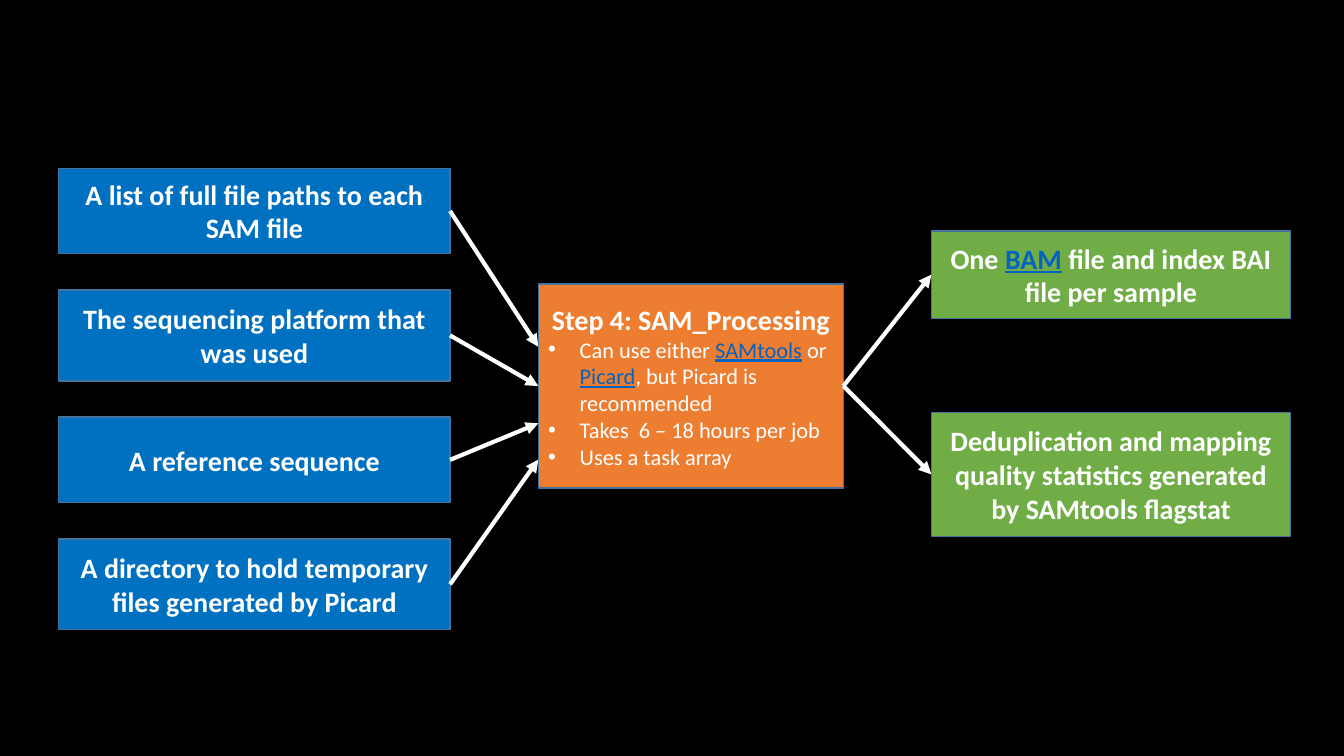
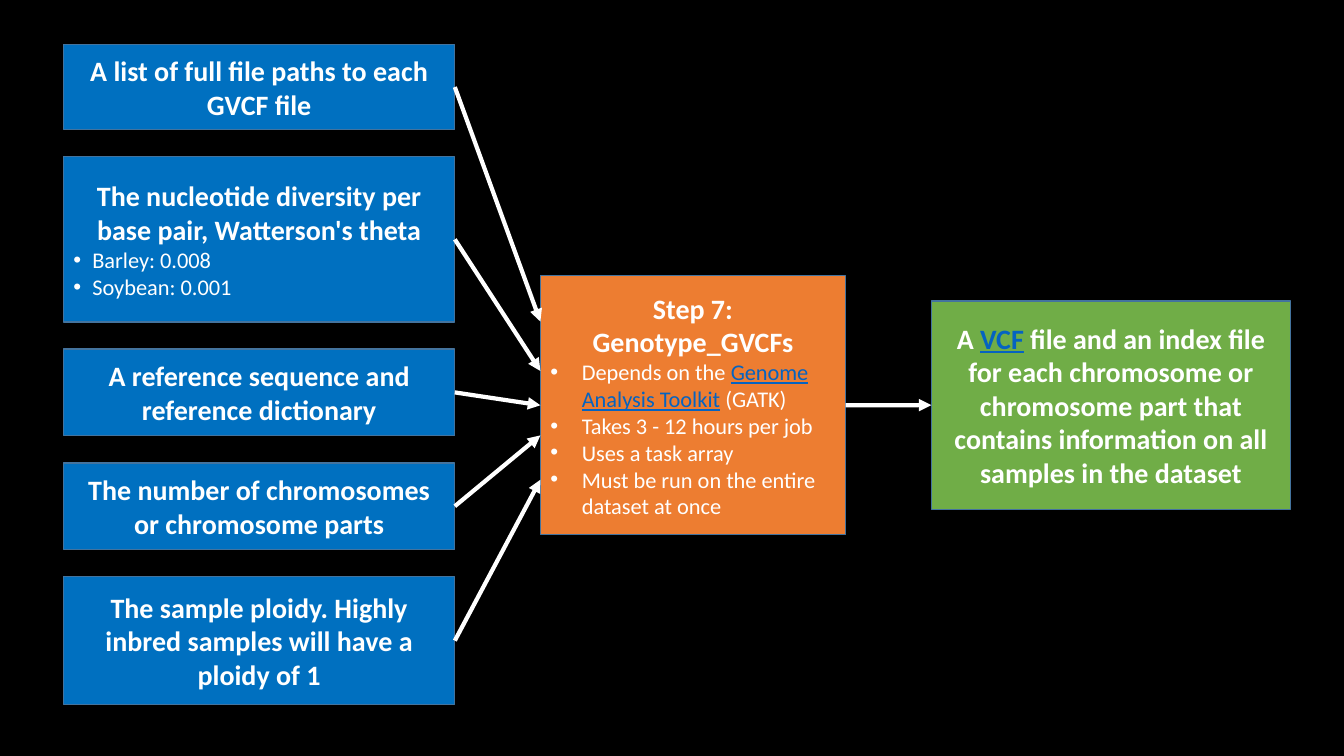
from dataclasses import dataclass
from typing import Optional

from lxml import etree
from pptx import Presentation
from pptx.dml.color import RGBColor
from pptx.enum.shapes import MSO_CONNECTOR, MSO_SHAPE
from pptx.enum.text import MSO_ANCHOR, PP_ALIGN
from pptx.oxml.ns import qn
from pptx.util import Pt

RECTANGLE = MSO_SHAPE.RECTANGLE
STRAIGHT = MSO_CONNECTOR.STRAIGHT
MIDDLE = MSO_ANCHOR.MIDDLE
LEFT, CENTER = PP_ALIGN.LEFT, PP_ALIGN.CENTER

BLACK, WHITE = "000000", "FFFFFF"
INPUT_BLUE, STEP_ORANGE, OUTPUT_GREEN = "0070C0", "ED7D31", "70AD47"
OUTLINE, LINK = "43739E", "0563C1"
FONT = "Calibri"
HEADING_SIZE, BULLET_SIZE = 20, 16
INPUT_WIDTH, STEP_WIDTH, OUTPUT_WIDTH = 279.5, 218, 256.5
OUTPUT_LEFT = 665.3
LEFT_SIDE, RIGHT_SIDE = 1, 3
LINK_MARK = "|"


@dataclass(frozen=True)
class Box:
    """Height and text of a box; link words stand between bars."""
    height: float
    heading: str
    bullets: tuple[str, ...] = ()
    indent: float = 22.5
    arrow_end: Optional[float] = None


@dataclass(frozen=True)
class Column:
    """Boxes stacked downwards with equal gaps."""
    left: float
    top: float
    gap: float
    boxes: tuple[Box, ...]


@dataclass(frozen=True)
class Workflow:
    """Inputs leading to one step and its outputs."""
    inputs: Column
    step: Column
    outputs: Column


WORKFLOWS = (
    Workflow(
        inputs=Column(42, 120.2, 25.9, (
            Box(61, "A list of full file paths to each SAM file", arrow_end=247.7),
            Box(65, "The sequencing platform that was used"),
            Box(61, "A reference sequence", arrow_end=302.4),
            Box(65, "A directory to hold temporary files generated by Picard",
                arrow_end=328.3),
        )),
        step=Column(384.5, 203, 0, (
            Box(145.5, "Step 4: SAM_Processing", (
                "Can use either |SAMtools| or |Picard|, but Picard is recommended",
                "Takes  6 – 18 hours per job",
                "Uses a task array",
            )),
        )),
        outputs=Column(OUTPUT_LEFT, 164.9, 67, (
            Box(62.6, "One |BAM| file and index BAI file per sample"),
            Box(88.6, "Deduplication and mapping quality statistics generated "
                      "by SAMtools flagstat"),
        )),
    ),
    Workflow(
        inputs=Column(45.4, 31.7, 19.3, (
            Box(61, "A list of full file paths to each GVCF file", arrow_end=229.7),
            Box(118, "The nucleotide diversity per base pair, Watterson's theta",
                ("Barley: 0.008", "Soybean: 0.001"), indent=13.5, arrow_end=265),
            Box(62, "A reference sequence and reference dictionary"),
            Box(62, "The number of chromosomes or chromosome parts", arrow_end=311),
            Box(91.4, "The sample ploidy. Highly inbred samples will have a ploidy of 1",
                arrow_end=342.7),
        )),
        step=Column(386, 197, 0, (
            Box(185, "Step 7: Genotype_GVCFs", (
                "Depends on the |Genome Analysis Toolkit| (GATK)",
                "Takes 3 - 12 hours per job",
                "Uses a task array",
                "Must be run on the entire dataset at once",
            )),
        )),
        outputs=Column(OUTPUT_LEFT, 214.9, 0, (
            Box(149, "A |VCF| file and an index file for each chromosome or chromosome "
                     "part that contains information on all samples in the dataset"),
        )),
    ),
)


def color(value: str) -> RGBColor:
    """Turn a hex string into a colour."""
    return RGBColor.from_string(value)


def write_paragraph(paragraph, text: str, size: float, bold: bool, alignment) -> None:
    """Write text, showing the words between bars as links."""
    paragraph.alignment = alignment
    font = paragraph.font
    font.name, font.size, font.bold = FONT, Pt(size), bold
    font.color.rgb = color(WHITE)
    for position, words in enumerate(text.split(LINK_MARK)):
        run = paragraph.add_run()
        run.text = words
        if position % 2:
            run.font.color.rgb = color(LINK)
            run.font.underline = True


def add_bullet(paragraph, indent: float) -> None:
    """Give a paragraph a hanging bullet."""
    properties = paragraph._p.get_or_add_pPr()
    properties.set("marL", str(Pt(indent)))
    properties.set("indent", str(-Pt(indent)))
    bullet_font = etree.Element(qn("a:buFont"), typeface="Arial")
    bullet = etree.Element(qn("a:buChar"), char="•")
    properties.insert(0, bullet_font)
    properties.insert(1, bullet)


def add_box(slide, box: Box, left: float, top: float, width: float, fill: str):
    """Draw a filled box with its heading and bullets."""
    shape = slide.shapes.add_shape(RECTANGLE, Pt(left), Pt(top), Pt(width), Pt(box.height))
    shape.shadow.inherit = False
    shape.fill.solid()
    shape.fill.fore_color.rgb = color(fill)
    shape.line.color.rgb = color(OUTLINE)
    shape.line.width = Pt(1)
    frame = shape.text_frame
    frame.word_wrap = True
    frame.vertical_anchor = MIDDLE
    write_paragraph(frame.paragraphs[0], box.heading, HEADING_SIZE, True, CENTER)
    for text in box.bullets:
        paragraph = frame.add_paragraph()
        write_paragraph(paragraph, text, BULLET_SIZE, False, LEFT)
        add_bullet(paragraph, box.indent)
    return shape


def add_column(slide, column: Column, width: float, fill: str) -> list:
    """Stack the boxes of a column and return their shapes."""
    shapes = []
    top = column.top
    for box in column.boxes:
        shapes.append(add_box(slide, box, column.left, top, width, fill))
        top += box.height + column.gap
    return shapes


def add_arrow(slide, source, target, arrow_end: Optional[float] = None) -> None:
    """Join two boxes, ending mid-side unless a height is given."""
    end_y = Pt(arrow_end or 0)
    arrow = slide.shapes.add_connector(STRAIGHT, 0, 0, target.left, end_y)
    arrow.begin_connect(source, RIGHT_SIDE)
    if arrow_end is None:
        arrow.end_connect(target, LEFT_SIDE)
    arrow.line.color.rgb = color(WHITE)
    arrow.line.width = Pt(3)
    etree.SubElement(arrow.line._get_or_add_ln(), qn("a:tailEnd"), type="triangle")
    etree.SubElement(arrow._element.spPr, qn("a:effectLst"))


def add_workflow(presentation, workflow: Workflow) -> None:
    """Add one slide showing a workflow step."""
    slide = presentation.slides.add_slide(presentation.slide_layouts.get_by_name("Blank"))
    inputs = add_column(slide, workflow.inputs, INPUT_WIDTH, INPUT_BLUE)
    step, = add_column(slide, workflow.step, STEP_WIDTH, STEP_ORANGE)
    outputs = add_column(slide, workflow.outputs, OUTPUT_WIDTH, OUTPUT_GREEN)
    for box, shape in zip(workflow.inputs.boxes, inputs):
        add_arrow(slide, shape, step, box.arrow_end)
    for shape in outputs:
        add_arrow(slide, step, shape)


def main() -> None:
    """Build and save the presentation."""
    presentation = Presentation()
    presentation.slide_width, presentation.slide_height = Pt(960), Pt(540)
    background = presentation.slide_master.background.fill
    background.solid()
    background.fore_color.rgb = color(BLACK)
    for workflow in WORKFLOWS:
        add_workflow(presentation, workflow)
    presentation.save("out.pptx")


if __name__ == "__main__":
    main()
